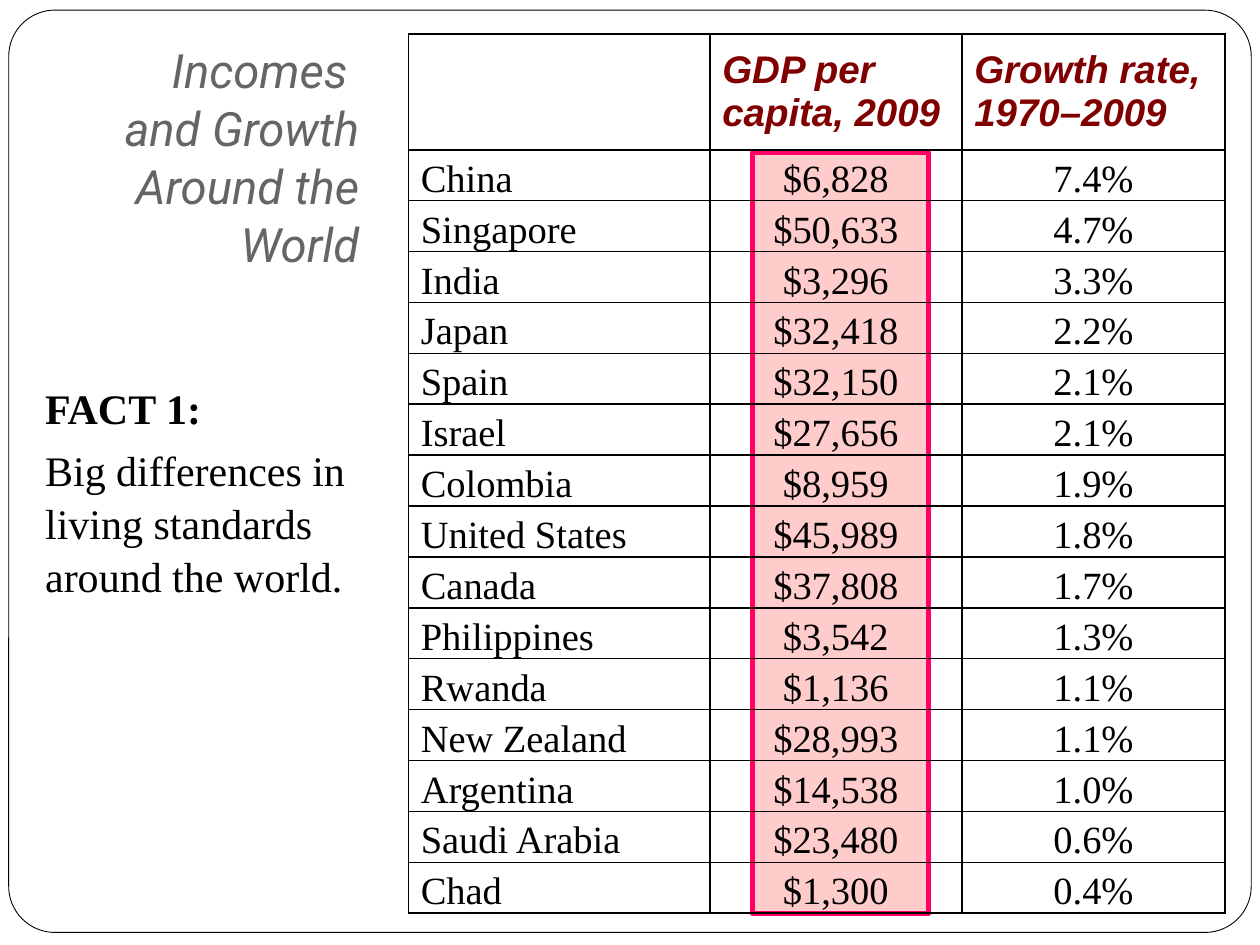
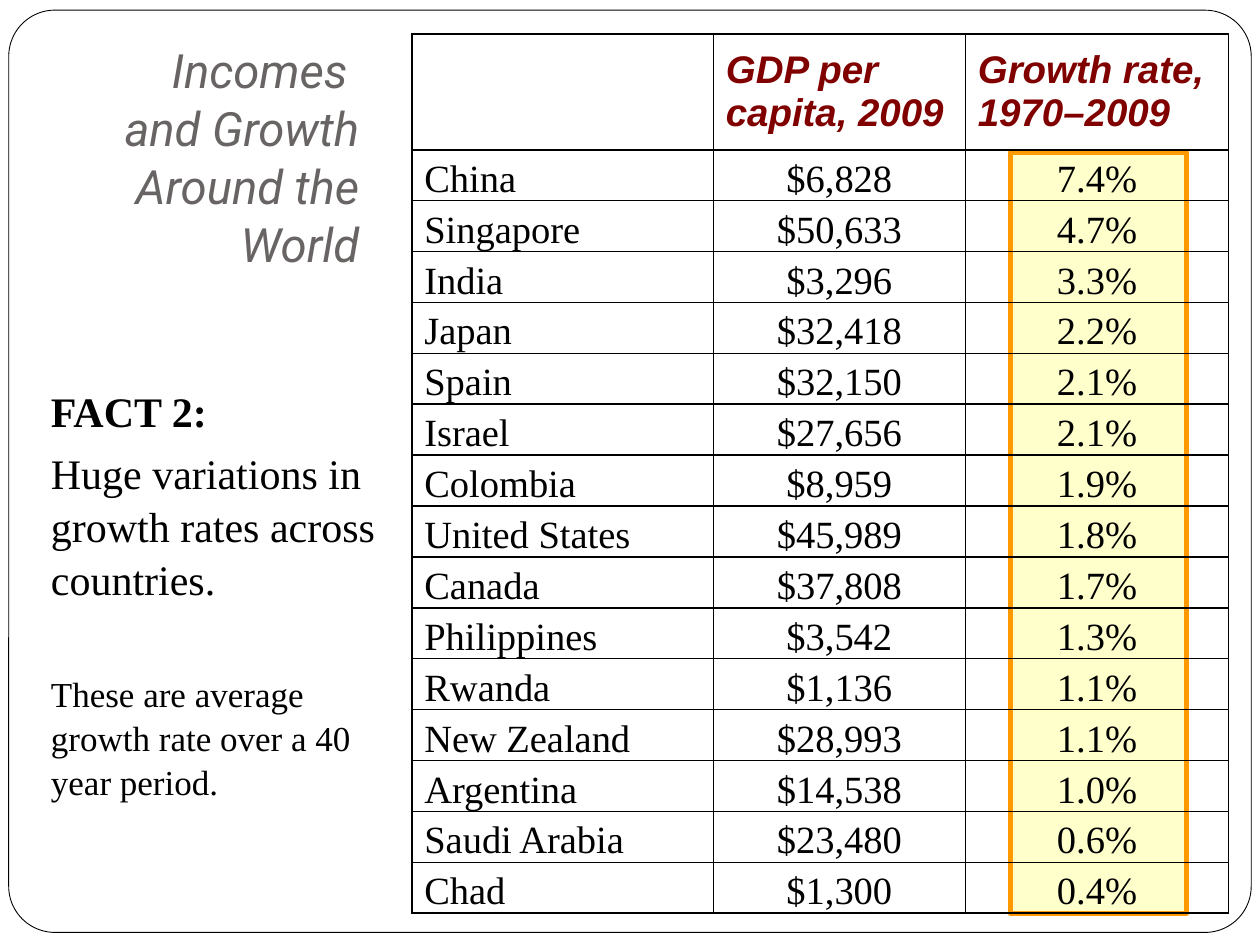
from lxml.etree import SubElement as Sub
from pptx import Presentation
from pptx.dml.color import RGBColor as RGB
from pptx.enum.shapes import MSO_SHAPE as Form
from pptx.enum.text import MSO_ANCHOR as Anchor, PP_ALIGN as Align
from pptx.oxml.ns import qn
from pptx.util import Pt

HEADS = ["", "GDP per capita, 2009", "Growth rate, 1970–2009"]
ROWS = [
    ("China", "$6,828", "7.4%"),
    ("Singapore", "$50,633", "4.7%"),
    ("India", "$3,296", "3.3%"),
    ("Japan", "$32,418", "2.2%"),
    ("Spain", "$32,150", "2.1%"),
    ("Israel", "$27,656", "2.1%"),
    ("Colombia", "$8,959", "1.9%"),
    ("United States", "$45,989", "1.8%"),
    ("Canada", "$37,808", "1.7%"),
    ("Philippines", "$3,542", "1.3%"),
    ("Rwanda", "$1,136", "1.1%"),
    ("New Zealand", "$28,993", "1.1%"),
    ("Argentina", "$14,538", "1.0%"),
    ("Saudi Arabia", "$23,480", "0.6%"),
    ("Chad", "$1,300", "0.4%"),
]
WIDTHS = [172.3, 144, 150.5]
HEAD_TALL, ROW_TALL = 66.2, 29.1

TITLE = dict(name="Roboto", size=Pt(27), italic=True, color="696464")
BODY = dict(name="Times New Roman", size=Pt(24), bold=False, color="000000")
FACT = BODY | dict(bold=True)
NOTE = BODY | dict(size=Pt(20))
HEAD = dict(name="Arial", size=Pt(22), bold=True, italic=True, color="800000")
CELL = BODY | dict(size=Pt(22))


def paint(target, color):
    target.rgb = RGB.from_string(color)


def apply(target, values):
    for key, value in values.items():
        if key == "color":
            paint(target.color, value)
        else:
            setattr(target, key, value)


class Deck:
    """Hold the deck style and the current slide, and draw its elements."""

    def __init__(self):
        self.prs = Presentation()
        apply(self.prs, dict(slide_width=Pt(720), slide_height=Pt(540)))
        self.slide = None

    def start(self):
        self.slide = self.prs.slides.add_slide(self.prs.slide_layouts[6])
        frame = self.box(Form.ROUNDED_RECTANGLE, (5, 5.8, 710, 527), "FFFFFF", "000000", 0.5)
        frame.adjustments[0] = 0.05

    def box(self, form, area, fill, edge, width):
        shape = self.slide.shapes.add_shape(form, *map(Pt, area))
        shape.shadow.inherit = False
        shape.fill.solid()
        paint(shape.fill.fore_color, fill)
        apply(shape.line, dict(color=edge, width=Pt(width)))
        return shape

    def text(self, area, paras, frame, layout):
        box = self.slide.shapes.add_textbox(*map(Pt, area)).text_frame
        apply(box, dict(word_wrap=True) | frame)
        for i, (words, font, gap) in enumerate(paras):
            para = box.add_paragraph() if i else box.paragraphs[0]
            para.text = words
            apply(para, layout | dict(space_before=Pt(gap)))
            for run in para.runs:
                apply(run.font, font)

    def cell(self, cell, words, font, align, look):
        cell.text = words
        apply(cell, look)
        para = cell.text_frame.paragraphs[0]
        para.alignment = align
        apply(para.font, font)
        for run in para.runs:
            apply(run.font, font)
        props = cell._tc.get_or_add_tcPr()
        for side in "LRTB":
            line = Sub(props, qn(f"a:ln{side}"), w=str(Pt(1)))
            Sub(Sub(line, qn("a:solidFill")), qn("a:srgbClr"), val="000000")
        cell.fill.background()

    def table(self, left, top):
        tall = HEAD_TALL + ROW_TALL * len(ROWS)
        area = map(Pt, (left, top, sum(WIDTHS), tall))
        grid = self.slide.shapes.add_table(len(ROWS) + 1, len(HEADS), *area).table
        apply(grid, dict(first_row=False, horz_banding=False))
        for col, width in zip(grid.columns, WIDTHS):
            col.width = Pt(width)
        for i, row in enumerate([HEADS, *ROWS]):
            grid.rows[i].height = Pt(ROW_TALL if i else HEAD_TALL)
            for j, words in enumerate(row):
                font, align = HEAD, Align.LEFT
                look = dict(vertical_anchor=Anchor.MIDDLE)
                if i:
                    font, align = CELL, Align.CENTER if j else Align.LEFT
                    look = dict(
                        vertical_anchor=Anchor.BOTTOM,
                        margin_left=Pt(0.7 if j else 7.2),
                        margin_right=Pt(0.7),
                        margin_top=Pt(0.7),
                        margin_bottom=Pt(0),
                    )
                self.cell(grid.cell(i, j), words, font, align, look)

    def title(self, words):
        frame = dict(vertical_anchor=Anchor.MIDDLE, margin_bottom=Pt(7.2))
        layout = dict(alignment=Align.RIGHT, line_spacing=1.02)
        self.text((27.4, 18.7, 185, 144.7), [(words, TITLE, 0)], frame, layout)

    def fact(self, left, top, tall, paras):
        frame = dict(vertical_anchor=Anchor.TOP)
        self.text((left, top, 218, tall), paras, frame, dict(line_spacing=1.05))

    def page(self, mark, left, fact):
        self.start()
        spot, fill, edge = mark
        self.box(Form.RECTANGLE, (spot, 87.1, 100.8, 434.9), fill, edge, 3)
        self.table(left, 19.4)
        self.title("Incomes \vand Growth Around the World")
        self.fact(*fact)


def main():
    deck = Deck()
    deck.page(
        (430, "FFCCCC", "FF0066"),
        233.3,
        (18.7, 213.8, 296, [
            ("FACT 1:", FACT, 0),
            ("Big differences in living standards around the world.", BODY, 5),
        ]),
    )
    deck.page(
        (577.4, "FFFFCC", "FF9900"),
        235.3,
        (22, 215.5, 263.5, [
            ("FACT 2:", FACT, 0),
            ("Huge variations in growth rates across countries.", BODY, 5),
            ("These are average growth rate over a 40 year period.", NOTE, 38),
        ]),
    )
    deck.prs.save("out.pptx")


if __name__ == "__main__":
    main()
